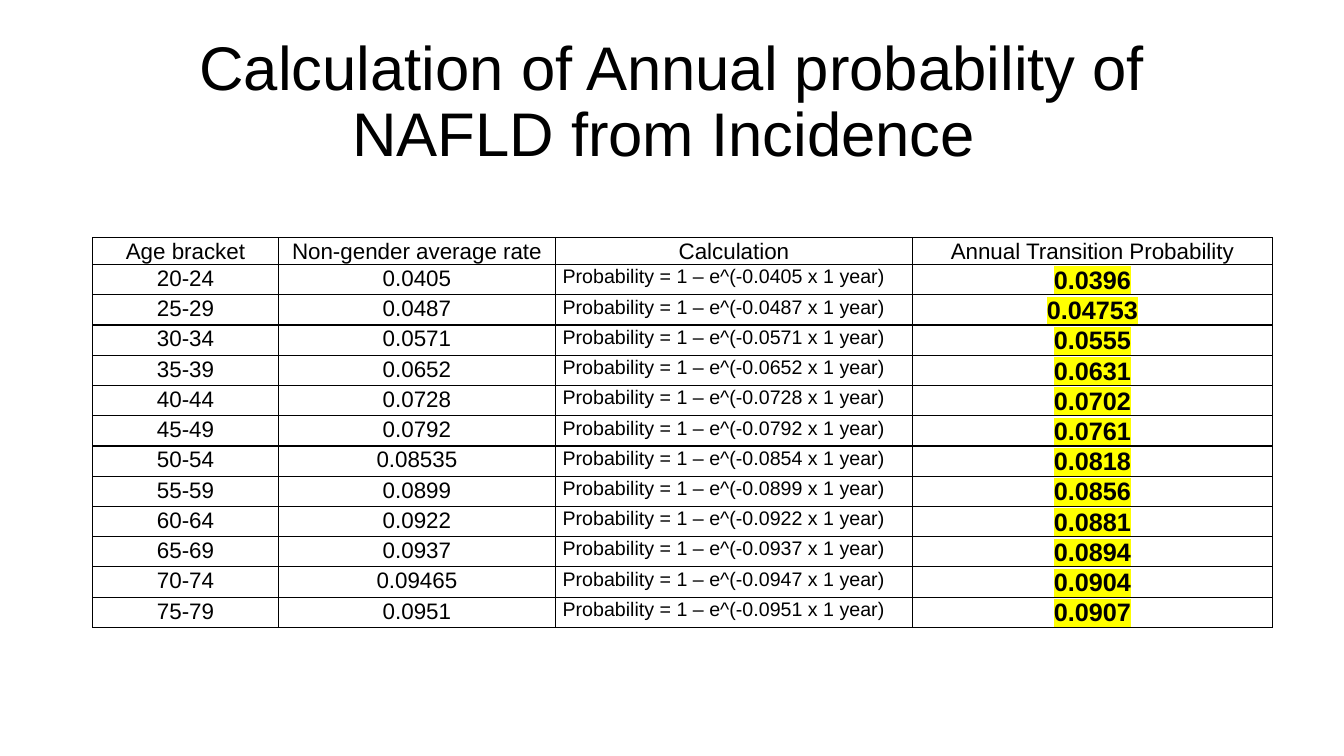
from typing import NamedTuple

from lxml import etree
from pptx import Presentation
from pptx.dml.color import RGBColor
from pptx.enum.text import MSO_ANCHOR, PP_ALIGN
from pptx.oxml.ns import qn
from pptx.slide import Slide
from pptx.table import _Cell
from pptx.text.text import _Paragraph
from pptx.util import Inches, Pt

CENTER, LEFT = PP_ALIGN.CENTER, PP_ALIGN.LEFT
TOP, MIDDLE = MSO_ANCHOR.TOP, MSO_ANCHOR.MIDDLE
BLACK = RGBColor(0x00, 0x00, 0x00)
YELLOW = RGBColor(0xFF, 0xFF, 0x00)
TITLE_ONLY = 5
FONT = "Arial"
TITLE = "Calculation of Annual probability of NAFLD from Incidence "
HEADER_HEIGHT, BRACKET_HEIGHT = Inches(0.26), Inches(0.3)
CELL_MARGINS = {
    "margin_left": Inches(0.07),
    "margin_right": Inches(0.07),
    "margin_top": 0,
    "margin_bottom": 0,
    "vertical_anchor": TOP,
}


class TextStyle(NamedTuple):
    size: int
    align: PP_ALIGN = CENTER
    bold: bool = False
    highlight: RGBColor | None = None
    spacing: float = 1.07


class Column(NamedTuple):
    heading: str
    width: float
    style: TextStyle


class Bracket(NamedTuple):
    ages: str
    rate: str
    rounded_rate: str
    probability: str

    def cells(self) -> tuple[str, ...]:
        formula = f"Probability = 1 – e^(-{self.rounded_rate} x 1 year)"
        return self.ages, self.rate, formula, self.probability


TITLE_STYLE = TextStyle(44, spacing=0.9)
PLAIN = TextStyle(16)
COLUMNS = [
    Column("Age bracket", 1.84, PLAIN),
    Column("Non-gender average rate", 2.75, PLAIN),
    Column("Calculation", 3.54, TextStyle(14, align=LEFT)),
    Column("Annual Transition Probability", 3.57,
           TextStyle(18, bold=True, highlight=YELLOW)),
]
BRACKETS = [
    Bracket("20-24", "0.0405", "0.0405", "0.0396"),
    Bracket("25-29", "0.0487", "0.0487", "0.04753"),
    Bracket("30-34", "0.0571", "0.0571", "0.0555"),
    Bracket("35-39", "0.0652", "0.0652", "0.0631"),
    Bracket("40-44", "0.0728", "0.0728", "0.0702"),
    Bracket("45-49", "0.0792", "0.0792", "0.0761"),
    Bracket("50-54", "0.08535", "0.0854", "0.0818"),
    Bracket("55-59", "0.0899", "0.0899", "0.0856"),
    Bracket("60-64", "0.0922", "0.0922", "0.0881"),
    Bracket("65-69", "0.0937", "0.0937", "0.0894"),
    Bracket("70-74", "0.09465", "0.0947", "0.0904"),
    Bracket("75-79", "0.0951", "0.0951", "0.0907"),
]


def write(paragraph: _Paragraph, text: str, style: TextStyle) -> None:
    paragraph.alignment = style.align
    paragraph.line_spacing = style.spacing
    run = paragraph.add_run()
    run.text = text
    font_format = {"name": FONT, "size": Pt(style.size), "bold": style.bold}
    for attribute, value in font_format.items():
        setattr(run.font, attribute, value)
    run.font.color.rgb = BLACK
    if style.highlight is not None:
        highlight = etree.Element(qn("a:highlight"))
        etree.SubElement(highlight, qn("a:srgbClr"), val=str(style.highlight))
        run._r.get_or_add_rPr().find(qn("a:solidFill")).addnext(highlight)


def add_borders(cell: _Cell) -> None:
    properties = cell._tc.get_or_add_tcPr()
    for position, side in enumerate(("a:lnL", "a:lnR", "a:lnT", "a:lnB")):
        border = etree.Element(qn(side), w=str(Pt(1)))
        fill = etree.SubElement(border, qn("a:solidFill"))
        etree.SubElement(fill, qn("a:srgbClr"), val=str(BLACK))
        properties.insert(position, border)


def fill_cell(cell: _Cell, text: str, style: TextStyle) -> None:
    for attribute, value in CELL_MARGINS.items():
        setattr(cell, attribute, value)
    cell.fill.background()
    add_borders(cell)
    write(cell.text_frame.paragraphs[0], text, style)


def add_title(slide: Slide) -> None:
    title = slide.shapes.title
    title.left, title.top = Inches(0.92), Inches(0.3)
    title.width, title.height = Inches(11.5), Inches(1.45)
    title.text_frame.vertical_anchor = MIDDLE
    title.text_frame.word_wrap = True
    write(title.text_frame.paragraphs[0], TITLE, TITLE_STYLE)


def add_probability_table(slide: Slide) -> None:
    table = slide.shapes.add_table(
        len(BRACKETS) + 1, len(COLUMNS), Inches(0.92), Inches(2.36),
        Inches(sum(column.width for column in COLUMNS)),
        HEADER_HEIGHT + BRACKET_HEIGHT * len(BRACKETS),
    ).table
    table.first_row = table.horz_banding = False
    for row in table.rows:
        row.height = BRACKET_HEIGHT
    table.rows[0].height = HEADER_HEIGHT
    for index, column in enumerate(COLUMNS):
        table.columns[index].width = Inches(column.width)
        fill_cell(table.cell(0, index), column.heading, PLAIN)
        for row_index, bracket in enumerate(BRACKETS, start=1):
            fill_cell(table.cell(row_index, index), bracket.cells()[index],
                      column.style)


def main() -> None:
    presentation = Presentation()
    presentation.slide_width = Inches(13.33)
    presentation.slide_height = Inches(7.5)
    slide = presentation.slides.add_slide(presentation.slide_layouts[TITLE_ONLY])
    add_title(slide)
    add_probability_table(slide)
    presentation.save("out.pptx")


if __name__ == "__main__":
    main()
